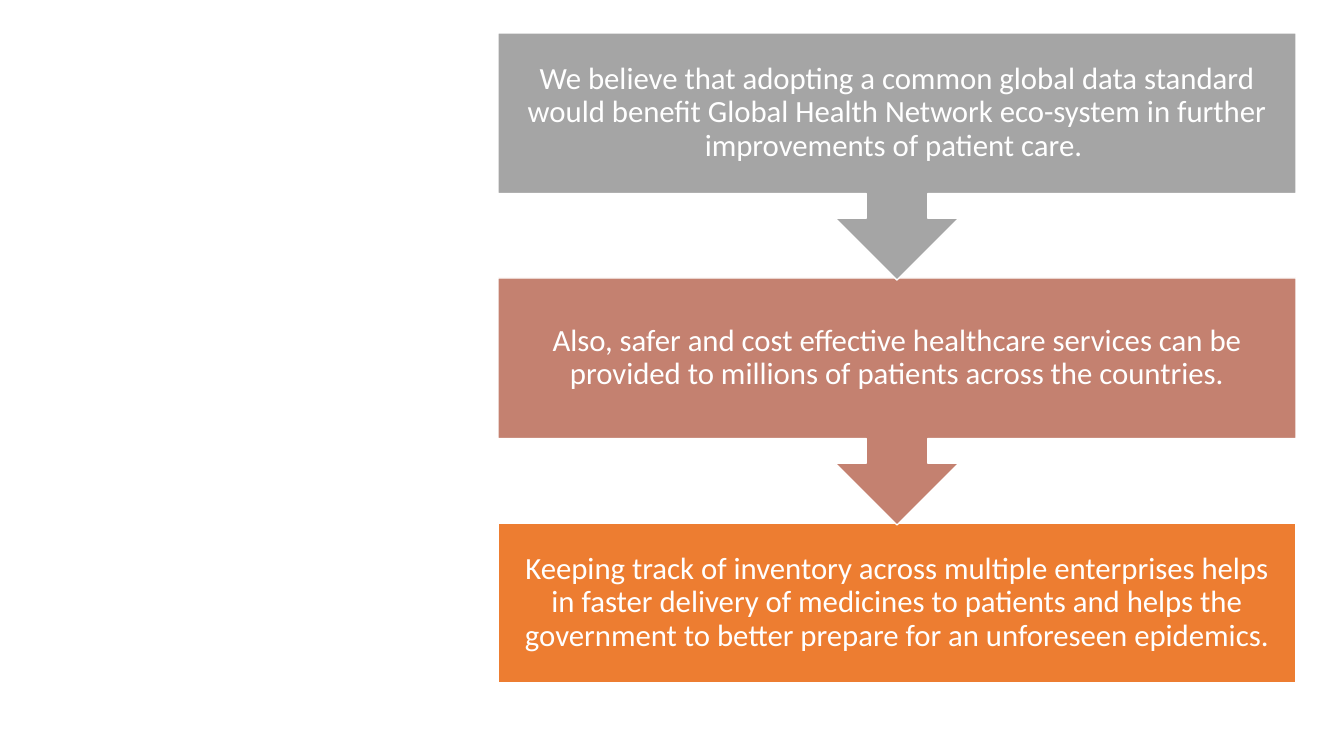
"""Build a slide with three statements leading downwards from one to the next."""
from pptx import Presentation
from pptx.dml.color import RGBColor
from pptx.enum.shapes import MSO_SHAPE as Preset
from pptx.enum.text import MSO_ANCHOR as Anchor, PP_ALIGN as Align
from pptx.util import Emu, Pt

COLOURS = {"grey": "A5A5A5", "rose": "C48170", "orange": "ED7D31", "white": "FFFFFF"}
STATEMENTS = [
    ("We believe that adopting a common global data standard would benefit "
     "Global Health Network eco-system in further improvements of patient care. ", "grey"),
    ("Also, safer and cost effective healthcare services can be provided to "
     "millions of patients across the countries.", "rose"),
    ("Keeping track of inventory across multiple enterprises helps in faster delivery "
     "of medicines to patients and helps the government to better prepare for "
     "an unforeseen epidemics.", "orange"),
]
SLIDE_SIZE = (1344, 756)
LEFT, TOP, WIDTH = 498, 33, 798
BOX_HEIGHT, CALLOUT_HEIGHT, STEP = 160, 247, 245
INSET = 17
FONT_SIZE = 22


def px(length):
    return Emu(round(length * 914400 / 100.8))


def colour(name):
    return RGBColor.from_string(COLOURS[name])


def set_values(target, values):
    for name, value in values.items():
        setattr(target, name, value)


def add_panel(slide, top, fill, is_last):
    preset = Preset.RECTANGLE if is_last else Preset.UP_ARROW_CALLOUT
    height = BOX_HEIGHT if is_last else CALLOUT_HEIGHT
    panel = slide.shapes.add_shape(preset, px(LEFT), px(top), px(WIDTH), px(height))
    panel.rotation = 0 if is_last else 180
    panel.shadow.inherit = False
    panel.fill.solid()
    panel.fill.fore_color.rgb = colour(fill)
    panel.line.color.rgb = colour("white")
    panel.line.width = Pt(1)


def add_statement(slide, top, text):
    box = slide.shapes.add_textbox(px(LEFT), px(top), px(WIDTH), px(BOX_HEIGHT))
    frame = box.text_frame
    sides = ("left", "top", "right", "bottom")
    set_values(frame, {f"margin_{side}": px(INSET) for side in sides})
    set_values(frame, {"word_wrap": True, "vertical_anchor": Anchor.MIDDLE})
    paragraph = frame.paragraphs[0]
    set_values(paragraph, {"alignment": Align.CENTER, "line_spacing": 0.9})
    run = paragraph.add_run()
    run.text = text
    set_values(run.font, {"name": "Calibri", "size": Pt(FONT_SIZE)})
    run.font.color.rgb = colour("white")


def main():
    presentation = Presentation()
    presentation.slide_width, presentation.slide_height = map(px, SLIDE_SIZE)
    slide = presentation.slides.add_slide(presentation.slide_layouts[6])
    last = len(STATEMENTS) - 1
    for index, (text, fill) in reversed(list(enumerate(STATEMENTS))):
        top = TOP + index * STEP
        add_panel(slide, top, fill, index == last)
        add_statement(slide, top, text)
    presentation.save("out.pptx")


if __name__ == "__main__":
    main()
